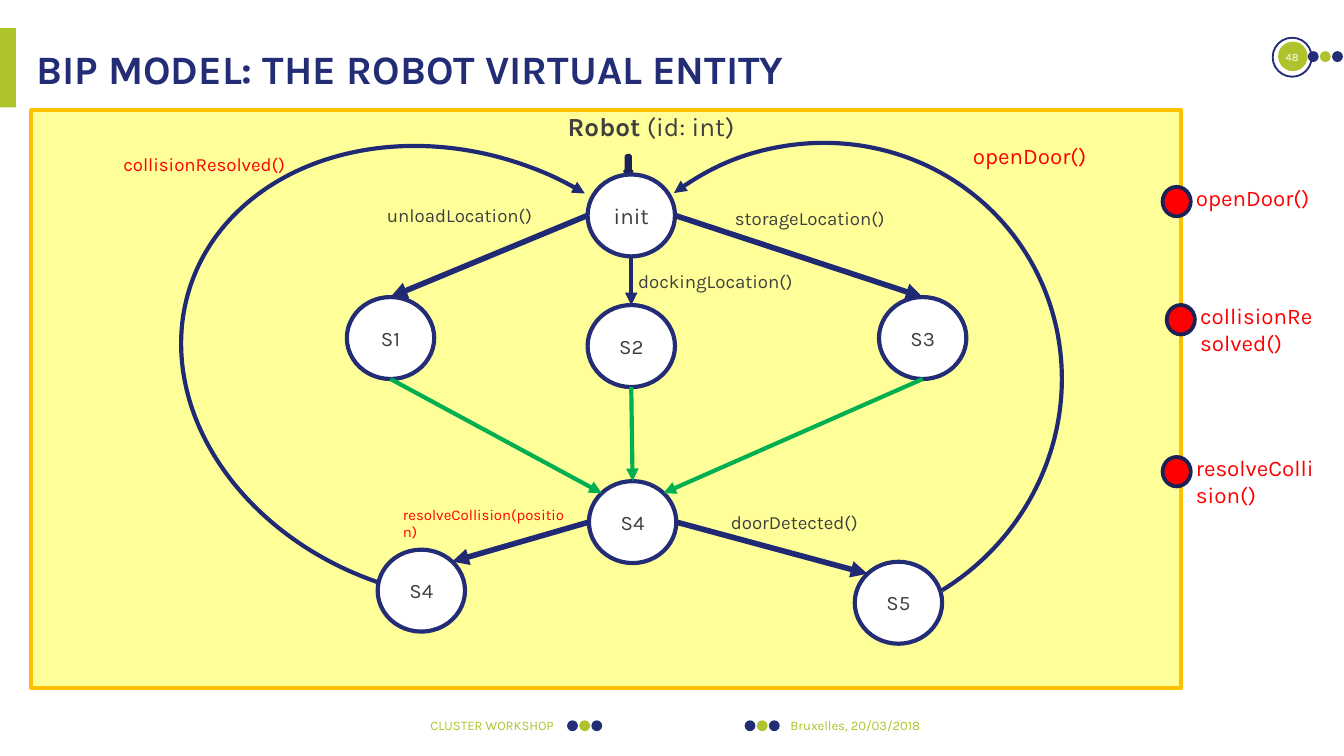
import math

import lxml.etree
import pptx
import pptx.dml.color
import pptx.enum.shapes
import pptx.enum.text
import pptx.oxml.ns
import pptx.util

Pt = pptx.util.Pt
Kind = pptx.enum.shapes.MSO_SHAPE
Align = pptx.enum.text.PP_ALIGN
Anchor = pptx.enum.text.MSO_ANCHOR
qn = pptx.oxml.ns.qn
rgb = pptx.dml.color.RGBColor.from_string


class Theme:
    font = "Karla"
    navy, ink, rim = rgb("232D75"), rgb("202A74"), rgb("1A2157")
    lime, green = rgb("AFC32C"), rgb("00B050")
    pale, amber = rgb("FFFF99"), rgb("FFC000")
    red, grey, white = rgb("FF0000"), rgb("3F3F3F"), rgb("FFFFFF")
    title, head, port, state, label, small, foot, page = 21.6, 14, 12, 11, 10, 8, 7, 6


deck = pptx.Presentation()
deck.slide_width, deck.slide_height = Pt(720), Pt(405)
slide = deck.slides.add_slide(deck.slide_layouts[5])
shapes = slide.shapes


def draw(kind, left, top, width, height, fill=None, line=None, weight=1):
    shape = shapes.add_shape(kind, Pt(left), Pt(top), Pt(width), Pt(height))
    shape.shadow.inherit = False
    for part, color in ((shape.fill, fill), (shape.line.fill, line)):
        if color is None:
            part.background()
        else:
            part.solid()
            part.fore_color.rgb = color
    if line is not None:
        shape.line.width = Pt(weight)
    return shape


def write(shape, runs, size, color, align=Align.LEFT, anchor=Anchor.TOP, pad=(7.2, 3.6)):
    frame = shape.text_frame
    look = {
        "word_wrap": True, "vertical_anchor": anchor,
        "auto_size": pptx.enum.text.MSO_AUTO_SIZE.NONE,
        "margin_left": Pt(pad[0]), "margin_right": Pt(pad[0]),
        "margin_top": Pt(pad[1]), "margin_bottom": Pt(pad[1]),
    }
    for name, value in look.items():
        setattr(frame, name, value)
    para = frame.paragraphs[0]
    para.alignment = align
    for words, bold in runs:
        run = para.add_run()
        run.text = words
        for name, value in {"name": Theme.font, "size": Pt(size), "bold": bold}.items():
            setattr(run.font, name, value)
        run.font.color.rgb = color


# Title and side bar
draw(Kind.RECTANGLE, 0, 15.1, 8.6, 42.5, Theme.lime)
title = shapes.title
for name, value in {"left": 19.4, "top": 23, "width": 662.4, "height": 27.4}.items():
    setattr(title, name, Pt(value))
write(title, [("BIP MODEL: THE ROBOT VIRTUAL ENTITY", True)], Theme.title, Theme.navy,
      anchor=Anchor.MIDDLE, pad=(0, 0))

# Page badge, footer and dot trios
draw(Kind.OVAL, 684.7, 22.3, 15.8, 15.8, Theme.lime)
badge = draw(Kind.OVAL, 681.8, 20.2, 20.9, 20.9, None, Theme.navy)
write(badge, [("48", False)], Theme.page, Theme.white, Align.CENTER, Anchor.MIDDLE, (0, 0))
for left, words, align in (
    (19.4, "CLUSTER WORKSHOP", Align.RIGHT),
    (423.4, "Bruxelles, 20/03/2018", Align.LEFT),
):
    box = shapes.add_textbox(Pt(left), Pt(378), Pt(277.2), Pt(21.6))
    write(box, [(words, False)], Theme.foot, Theme.lime, align, Anchor.MIDDLE, (0, 0))
for left, top in ((303.8, 385.9), (398.9, 385.9), (700.6, 27.4)):
    for i, color in enumerate((Theme.navy, Theme.lime, Theme.navy)):
        draw(Kind.OVAL, left + 6.5 * i, top, 5.8, 5.8, color)

# Robot panel and entry arrow
draw(Kind.RECTANGLE, 16.6, 59, 616.3, 309.6, Theme.pale, Theme.amber, 2)
draw(Kind.DOWN_ARROW, 334.8, 83.5, 3.6, 10.1, Theme.navy, Theme.rim, 2)
box = shapes.add_textbox(Pt(296.6), Pt(55.4), Pt(104.4), Pt(24.5))
write(box, [("Robot", True), (" (id: int)", False)], Theme.head, Theme.grey, Align.CENTER)

# States, placed by their centres
wide, high = 46.8, 43.9
states = {
    "init": (338.2, 115.4, "init"),
    "unload": (209.2, 181.1, "S1"),
    "dock": (338.2, 185.4, "S2"),
    "store": (494.3, 181.1, "S3"),
    "move": (338.9, 279.7, "S4"),
    "door": (481.3, 322.9, "S5"),
    "crash": (225.7, 316.4, "S4"),
}
for key, (x, y, words) in states.items():
    node = draw(Kind.OVAL, x - wide / 2, y - high / 2, wide, high,
                Theme.white, Theme.navy, 2.25)
    size = Theme.port if key == "init" else Theme.state
    write(node, [(words, False)], size, Theme.grey, Align.CENTER, Anchor.MIDDLE, (0, 0))

# Straight transitions: state and angle on its rim at each end
arrows = []
for start, out, end, into, color, weight in (
    ("init", 90, "dock", 270, Theme.ink, 2.25),
    ("init", 0, "store", 270, Theme.ink, 3),
    ("init", 180, "unload", 270, Theme.ink, 3),
    ("move", 0, "door", 225, Theme.ink, 3),
    ("move", 180, "crash", 315, Theme.ink, 3),
    ("store", 90, "move", 315, Theme.green, 2.25),
    ("dock", 90, "move", 270, Theme.green, 2.25),
    ("unload", 90, "move", 225, Theme.green, 2.25),
):
    ends = []
    for key, angle in ((start, out), (end, into)):
        x, y, _ = states[key]
        turn = math.radians(angle)
        ends += [Pt(x + wide / 2 * math.cos(turn)), Pt(y + high / 2 * math.sin(turn))]
    edge = shapes.add_connector(pptx.enum.shapes.MSO_CONNECTOR.STRAIGHT, *ends)
    edge.line.color.rgb = color
    edge.line.width = Pt(weight)
    lxml.etree.SubElement(edge._element.spPr, qn("a:effectLst"))
    arrows.append((edge, "a:tailEnd"))

# Return arcs
for left, top, width, height, turn, sweep, tip in (
    (306, 77.8, 264.2, 257, 323.2, 57.33, "a:headEnd"),
    (94.3, 81.4, 293, 236.9, 198.9, 64.86, "a:tailEnd"),
):
    arc = draw(Kind.ARC, left, top, width, height, None, Theme.ink, 2.25)
    arc.rotation = turn
    arc.adjustments[0], arc.adjustments[1] = 162, sweep
    arrows.append((arc, tip))

# Arrowheads
for shape, tip in arrows:
    line = shape._element.spPr.find(qn("a:ln"))
    lxml.etree.SubElement(line, qn(tip), type="triangle")

# Ports on the panel edge, as label rows
labels = []
for left, top, height, words in (
    (622.8, 100.1, 21.6, "openDoor()"),
    (625, 163.4, 36, "collisionResolved()"),
    (622.8, 244.8, 36, "resolveCollision()"),
):
    draw(Kind.OVAL, left, top, 15.1, 15.8, Theme.red, Theme.rim, 2)
    labels.append((left + 10.8, top - 5, 78.5, height, words, Theme.port, Theme.red))

# Transition labels
labels += [
    (208.8, 267.1, 105.1, 17.3, "resolveCollision(position)", Theme.small, Theme.red),
    (514.1, 72.7, 78.5, 21.6, "openDoor()", Theme.port, Theme.red),
    (59, 78.5, 100.8, 19.4, "collisionResolved()", Theme.label, Theme.red),
    (384.5, 270, 82.1, 19.4, "doorDetected()", Theme.label, Theme.grey),
    (386.6, 107.3, 102.2, 19.4, "storageLocation()", Theme.label, Theme.grey),
    (200.2, 105.8, 102.2, 19.4, "unloadLocation()", Theme.label, Theme.grey),
    (334.8, 141.1, 102.2, 19.4, "dockingLocation()", Theme.label, Theme.grey),
]
for left, top, width, height, words, size, color in labels:
    box = shapes.add_textbox(Pt(left), Pt(top), Pt(width), Pt(height))
    write(box, [(words, False)], size, color)

deck.save("out.pptx")
